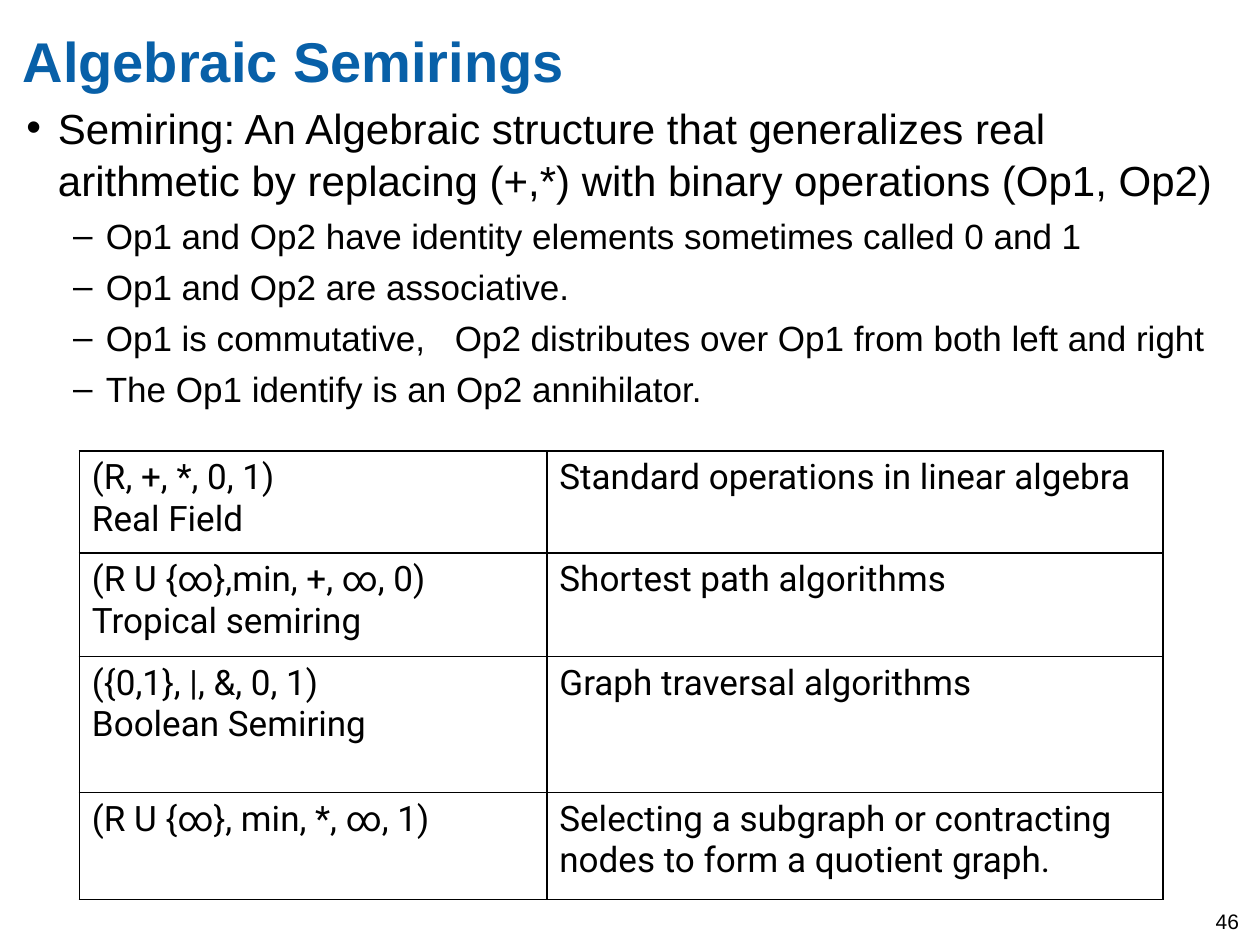
"""Build the Algebraic Semirings slide with its bullet list and table."""
from typing import NamedTuple

from lxml.etree import SubElement
from pptx import Presentation
from pptx.dml.color import RGBColor
from pptx.enum.text import MSO_ANCHOR, PP_ALIGN
from pptx.oxml.ns import qn
from pptx.util import Inches, Pt

COLORS = {"title": "0860A8", "text": "000000"}


class Level(NamedTuple):
    bullet: str
    size: int
    indent: float
    hang: float


class Bullet(NamedTuple):
    text: str
    level: int
    tab: float = 0


class Row(NamedTuple):
    height: float
    semiring: str
    use: str


LEVELS = [Level("•", 24, 0.25, 0.25), Level("–", 20, 0.63, 0.26)]
BULLETS = [
    Bullet("Semiring: An Algebraic structure that generalizes real arithmetic "
           "by replacing (+,*) with binary operations (Op1, Op2)", 0),
    Bullet("Op1 and Op2 have identity elements sometimes called 0 and 1", 1),
    Bullet("Op1 and Op2 are associative.", 1),
    Bullet("Op1 is commutative,\tOp2 distributes over Op1 from both left and right", 1, 3.4),
    Bullet("The Op1 identify is an Op2 annihilator.", 1),
]
COLUMNS = [3.71, 4.89]
ROWS = [
    Row(0.81, "(R, +, *, 0, 1)\nReal Field", "Standard operations in linear algebra"),
    Row(0.82, "(R U {∞},min, +, ∞, 0)\nTropical semiring", "Shortest path algorithms"),
    Row(1.08, "({0,1}, |, &, 0, 1)\nBoolean Semiring", "Graph traversal algorithms"),
    Row(0.85, "(R U {∞}, min, *, ∞, 1)",
        "Selecting a subgraph or contracting nodes to form a quotient graph."),
]


def set_text(tf, text: str, size: int, font="Arial", color="text", bold=False) -> None:
    tf.text = text
    tf.word_wrap = True
    for p in tf.paragraphs:
        format_paragraph(p, size, font, color, bold)


def format_paragraph(p, size: int, font="Arial", color="text", bold=False) -> None:
    p.alignment = PP_ALIGN.LEFT
    for r in p.runs:
        r.font.size, r.font.name, r.font.bold = Pt(size), font, bold
        r.font.color.rgb = RGBColor.from_string(COLORS[color])


def clear_margins(tf) -> None:
    tf.margin_left = tf.margin_right = tf.margin_top = tf.margin_bottom = 0
    tf.vertical_anchor = MSO_ANCHOR.TOP


def add_title(slide, text: str) -> None:
    sp = slide.shapes.title
    sp.left, sp.top, sp.width, sp.height = map(Inches, (0.18, 0.21, 9.73, 0.97))
    set_text(sp.text_frame, text, 32, color="title", bold=True)
    clear_margins(sp.text_frame)


def add_bullets(slide, bullets: list[Bullet]) -> None:
    sp = slide.shapes.add_textbox(*map(Inches, (0.21, 0.79, 9.58, 2.77)))
    tf = sp.text_frame
    tf.word_wrap = True
    clear_margins(tf)
    for i, bullet in enumerate(bullets):
        level = LEVELS[bullet.level]
        p = tf.add_paragraph() if i else tf.paragraphs[0]
        p.text, p.level, p.line_spacing = bullet.text, bullet.level, 1.05
        if i:
            p.space_before = Pt(level.size * 0.2)
        pPr = p._p.get_or_add_pPr()
        pPr.set("marL", str(Inches(level.indent)))
        pPr.set("indent", str(-Inches(level.hang)))
        SubElement(pPr, qn("a:buFont"), typeface="Arial")
        SubElement(pPr, qn("a:buChar"), char=level.bullet)
        if bullet.tab:
            tabs = SubElement(pPr, qn("a:tabLst"))
            SubElement(tabs, qn("a:tab"), pos=str(Inches(bullet.tab)), algn="l")
        format_paragraph(p, level.size)


def set_borders(cell) -> None:
    tcPr = cell._tc.get_or_add_tcPr()
    for i, side in enumerate(("lnL", "lnR", "lnT", "lnB")):
        ln = tcPr.makeelement(qn(f"a:{side}"), {"w": str(Pt(1))})
        fill = SubElement(ln, qn("a:solidFill"))
        SubElement(fill, qn("a:srgbClr"), val=COLORS["text"])
        tcPr.insert(i, ln)


def add_semiring_table(slide, rows: list[Row]) -> None:
    height = sum(row.height for row in rows)
    frame = slide.shapes.add_table(len(rows), len(COLUMNS), Inches(0.63), Inches(3.58),
                                   Inches(sum(COLUMNS)), Inches(height))
    table = frame.table
    table.first_row = table.horz_banding = False
    for column, width in zip(table.columns, COLUMNS):
        column.width = Inches(width)
    for line, row in zip(table.rows, rows):
        line.height = Inches(row.height)
        for cell, text in zip(line.cells, (row.semiring, row.use)):
            set_text(cell.text_frame, text, 20, font="Roboto")
            cell.fill.background()
            set_borders(cell)


def main() -> None:
    prs = Presentation()
    prs.slide_width, prs.slide_height = Inches(10), Inches(7.5)
    slide = prs.slides.add_slide(prs.slide_layouts[5])
    add_title(slide, "Algebraic Semirings")
    add_bullets(slide, BULLETS)
    add_semiring_table(slide, ROWS)
    number = slide.shapes.add_textbox(*map(Inches, (9.55, 7.16, 0.45, 0.33)))
    set_text(number.text_frame, "46", 12)
    prs.save("out.pptx")


if __name__ == "__main__":
    main()
